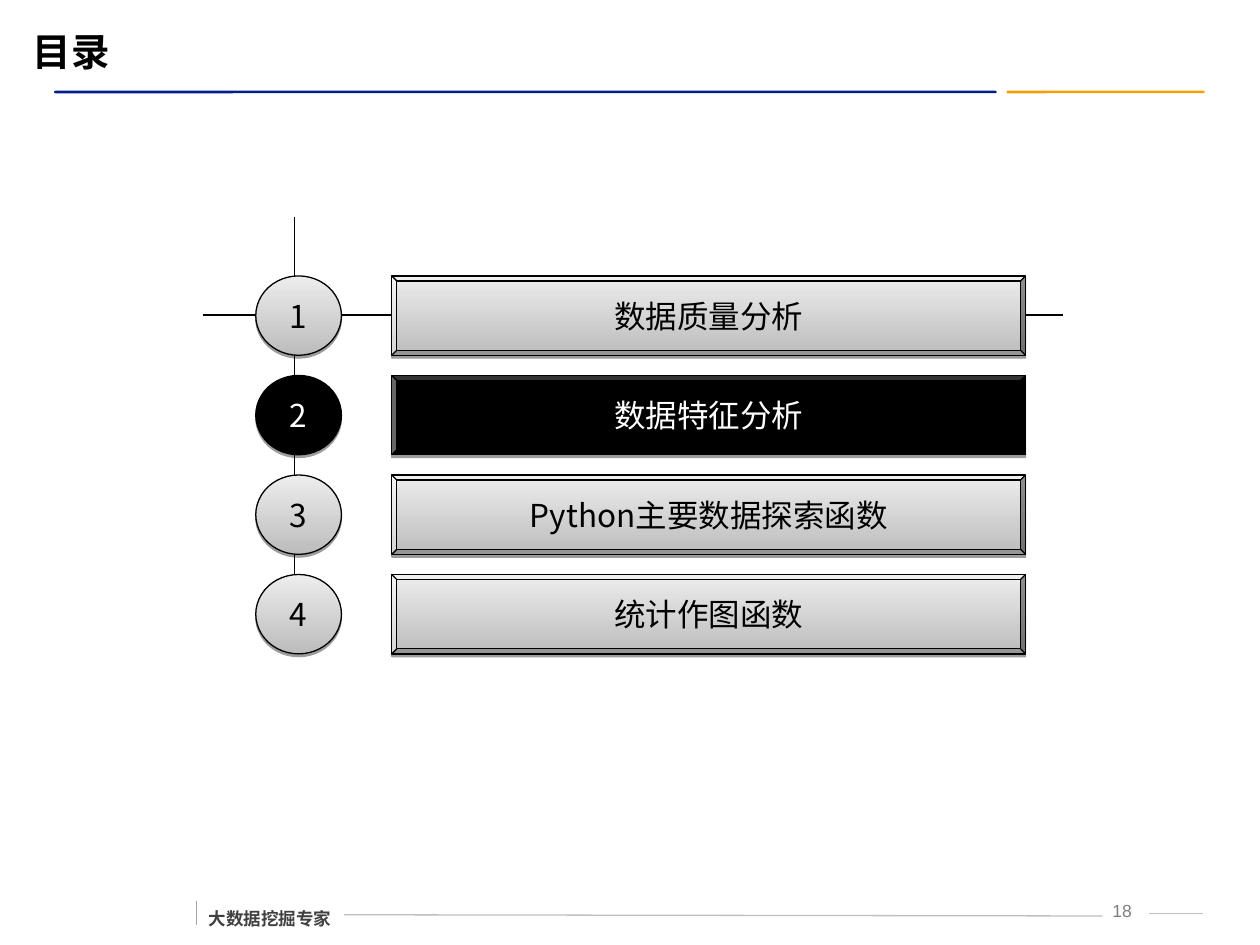
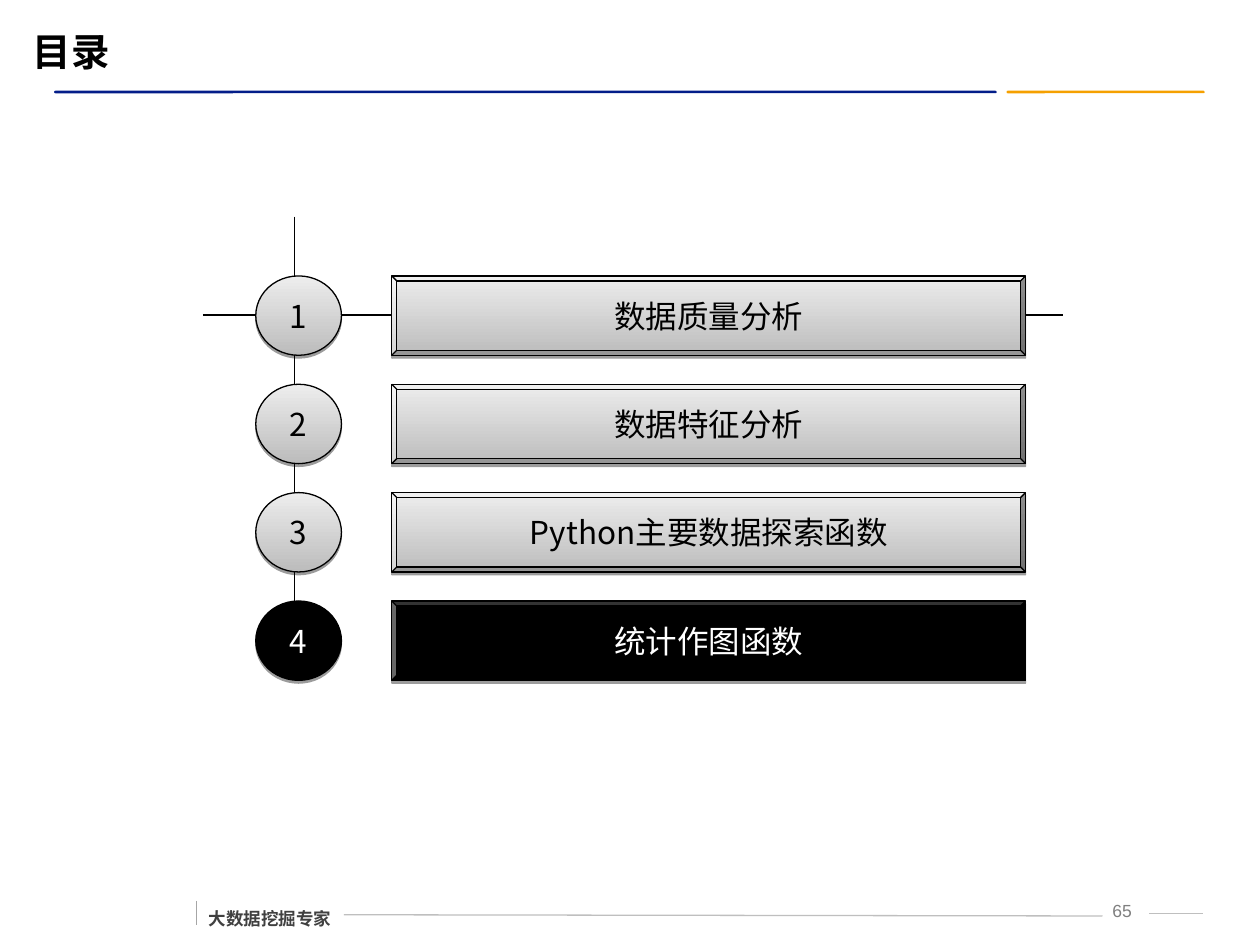
from dataclasses import dataclass
from typing import Any

from lxml.etree import SubElement
from pptx import Presentation
from pptx.dml.color import RGBColor
from pptx.enum.shapes import MSO_CONNECTOR, MSO_SHAPE
from pptx.enum.text import MSO_ANCHOR, MSO_AUTO_SIZE, PP_ALIGN
from pptx.oxml.ns import qn
from pptx.util import Inches, Pt

# Every length on a page counts cells of a grid of 100 columns by 75 rows.
COLUMNS, ROWS = 100, 75
SLIDE_WIDTH, SLIDE_HEIGHT = Inches(10), Inches(7.5)

LATIN, CHINESE = "Arial", "Noto Sans CJK SC"
BLACK, WHITE = "000000", "FFFFFF"
NAVY, ORANGE = "031D89", "F5A000"
GRADIENT = ("BCBCBC", "EDEDED")
RULE_GREY, TICK_GREY, NUMBER_GREY, FOOTER_GREY = "BFBFBF", "A6A6A6", "7F7F7F", "404040"

TOPICS = ("数据质量分析", "数据特征分析", "Python主要数据探索函数", "统计作图函数")
FIRST_TOP, ITEM_HEIGHT, BEVEL_DEPTH = 21.9, 6.3, 0.4


@dataclass(frozen=True)
class Box:
    left: float
    top: float
    width: float
    height: float

    def place(self) -> tuple[int, int, int, int]:
        return across(self.left), down(self.top), across(self.width), down(self.height)


@dataclass(frozen=True)
class Rule:
    start: tuple[float, float]
    end: tuple[float, float]
    color: str


@dataclass(frozen=True)
class Bar:
    box: Box
    color: str
    rounding: float


@dataclass(frozen=True)
class TextStyle:
    size: int
    color: str
    name: str = CHINESE
    bold: bool = False
    align: PP_ALIGN = PP_ALIGN.CENTER


@dataclass(frozen=True)
class Agenda:
    number: int
    current: int
    pitch: float


HEADER_BARS = (
    Bar(Box(79.9, 7.2, 15.7, 0.2), ORANGE, 0.36),
    Bar(Box(4.3, 7.2, 74.8, 0.2), NAVY, 0.5),
)
FOOTER_RULES = (
    Rule((27.3, 72.6), (87.5, 72.7), RULE_GREY),
    Rule((91.2, 72.5), (95.5, 72.5), RULE_GREY),
    Rule((15.6, 71.5), (15.6, 73.4), TICK_GREY),
)
AGENDA_RULES = (
    Rule((23.4, 17.2), (23.4, 48.5), BLACK),
    Rule((16.1, 25), (84.4, 25), BLACK),
)
TITLE_BOX = Box(1.6, 1.7, 91, 4.7)
FOOTER_BOX = Box(15.6, 70.7, 11.7, 3.5)
NUMBER_BOX = Box(86.7, 70.9, 4.7, 2.5)

TITLE_STYLE = TextStyle(22, BLACK, LATIN, True, PP_ALIGN.LEFT)
FOOTER_STYLE = TextStyle(10, FOOTER_GREY, bold=True, align=PP_ALIGN.LEFT)
NUMBER_STYLE = TextStyle(10, NUMBER_GREY, LATIN)

AGENDAS = (Agenda(18, 2, 7.9), Agenda(65, 4, 8.6))


def across(columns: float) -> int:
    return round(SLIDE_WIDTH * columns / COLUMNS)


def down(rows: float) -> int:
    return round(SLIDE_HEIGHT * rows / ROWS)


def rgb(color: str) -> RGBColor:
    return RGBColor.from_string(color)


def apply(target: Any, values: dict[str, Any]) -> None:
    for name, value in values.items():
        setattr(target, name, value)


def write(shape: Any, text: str, style: TextStyle, **frame_values: Any) -> Any:
    """Fill the shape with one styled paragraph and return it."""
    frame = shape.text_frame
    apply(frame, {"auto_size": MSO_AUTO_SIZE.NONE} | frame_values)
    para = frame.paragraphs[0]
    para.alignment = style.align
    span = para.add_run()
    span.text = text
    apply(span.font, {"name": style.name, "size": Pt(style.size), "bold": style.bold})
    span.font.color.rgb = rgb(style.color)
    SubElement(span._r.get_or_add_rPr(), qn("a:ea"), typeface=CHINESE)
    return para


def draw_rule(page: Any, rule: Rule) -> None:
    (x1, y1), (x2, y2) = rule.start, rule.end
    line = page.shapes.add_connector(
        MSO_CONNECTOR.STRAIGHT, across(x1), down(y1), across(x2), down(y2)
    )
    line.line.color.rgb = rgb(rule.color)
    line.line.width = Pt(0.75)
    SubElement(line._element.spPr, qn("a:effectLst"))


def draw_bar(page: Any, bar: Bar) -> None:
    shape = page.shapes.add_shape(MSO_SHAPE.ROUNDED_RECTANGLE, *bar.box.place())
    shape.adjustments[0] = bar.rounding
    shape.fill.solid()
    shape.fill.fore_color.rgb = rgb(bar.color)
    shape.line.fill.background()
    shape.shadow.inherit = False


def drop_shadow(shape: Any) -> None:
    """Give the shape a hard shadow just below it."""
    shape.shadow.inherit = False
    effects = shape._element.spPr.find(qn("a:effectLst"))
    shadow = SubElement(
        effects, qn("a:outerShdw"), dist=str(Pt(1.6)), dir="5400000", rotWithShape="0"
    )
    tone = SubElement(shadow, qn("a:srgbClr"), val=BLACK)
    SubElement(tone, qn("a:alpha"), val="38000")


def draw_item(page: Any, kind: MSO_SHAPE, box: Box, text: str, current: bool) -> Any:
    shape = page.shapes.add_shape(kind, *box.place())
    if current:
        shape.fill.solid()
        shape.fill.fore_color.rgb = rgb(BLACK)
    else:
        shape.fill.gradient()
        shape.fill.gradient_angle = 90
        for stop, color in zip(shape.fill.gradient_stops, GRADIENT):
            stop.color.rgb = rgb(color)
    shape.line.color.rgb = rgb(BLACK)
    shape.line.width = Pt(0.75)
    drop_shadow(shape)
    style = TextStyle(18, WHITE if current else BLACK)
    write(shape, text, style, word_wrap=False, vertical_anchor=MSO_ANCHOR.MIDDLE)
    return shape


def draw_frame(page: Any, number: int) -> None:
    """Draw the title, header bars and footer that every page shares."""
    for bar in HEADER_BARS:
        draw_bar(page, bar)
    for rule in FOOTER_RULES:
        draw_rule(page, rule)
    title = page.shapes.title
    apply(title, dict(zip(("left", "top", "width", "height"), TITLE_BOX.place())))
    write(title, "目录", TITLE_STYLE, vertical_anchor=MSO_ANCHOR.MIDDLE)
    footer = page.shapes.add_textbox(*FOOTER_BOX.place())
    para = write(footer, "大数据挖掘专家", FOOTER_STYLE, word_wrap=False)
    para.line_spacing = 1.5
    number_box = page.shapes.add_textbox(*NUMBER_BOX.place())
    write(number_box, str(number), NUMBER_STYLE, word_wrap=True)


def draw_agenda(page: Any, agenda: Agenda) -> None:
    for rule in AGENDA_RULES:
        draw_rule(page, rule)
    for index, topic in enumerate(TOPICS):
        top = FIRST_TOP + index * agenda.pitch
        current = index + 1 == agenda.current
        circle_box = Box(20.3, top, 6.8, ITEM_HEIGHT)
        topic_box = Box(31.1, top, 50.3, ITEM_HEIGHT)
        draw_item(page, MSO_SHAPE.OVAL, circle_box, str(index + 1), current)
        panel = draw_item(page, MSO_SHAPE.BEVEL, topic_box, topic, current)
        panel.adjustments[0] = BEVEL_DEPTH / ITEM_HEIGHT


def main() -> None:
    deck = Presentation()
    apply(deck, {"slide_width": SLIDE_WIDTH, "slide_height": SLIDE_HEIGHT})
    title_only = deck.slide_layouts[5]
    for agenda in AGENDAS:
        page = deck.slides.add_slide(title_only)
        draw_frame(page, agenda.number)
        draw_agenda(page, agenda)
    deck.save("out.pptx")


if __name__ == "__main__":
    main()
